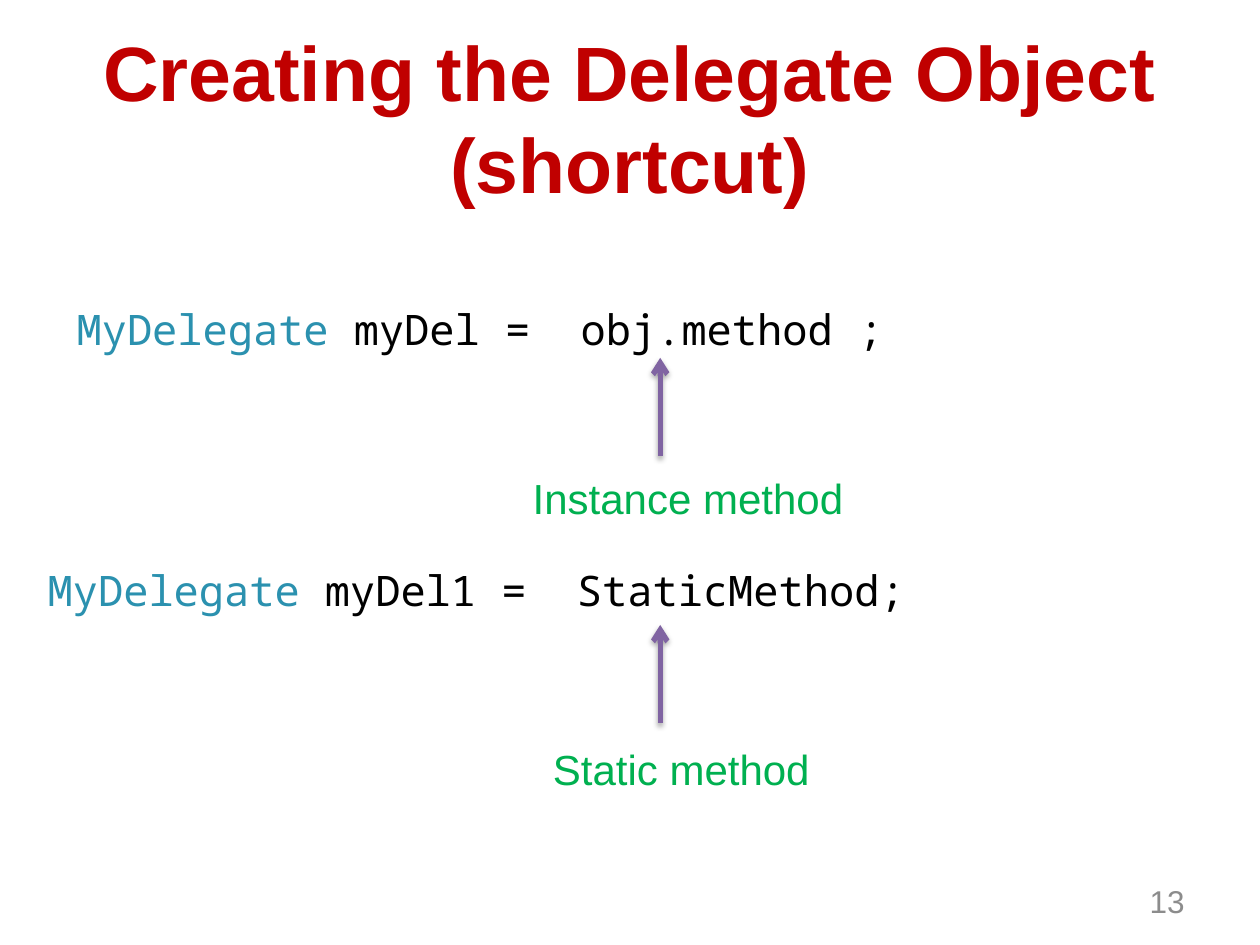
"""Build the slide on the shortcut for creating a delegate object."""
import pptx
import pptx.util
import pptx.dml.color
import pptx.enum.shapes
import pptx.enum.text
import pptx.oxml
import pptx.oxml.ns

Inches = pptx.util.Inches
RGBColor = pptx.dml.color.RGBColor
ALIGN = pptx.enum.text.PP_ALIGN
ANCHOR = pptx.enum.text.MSO_ANCHOR

RED = RGBColor(0xC0, 0x00, 0x00)
TEAL = RGBColor(0x2B, 0x91, 0xAF)
BLACK = RGBColor(0x00, 0x00, 0x00)
GREEN = RGBColor(0x00, 0xB0, 0x50)
PURPLE = RGBColor(0x80, 0x64, 0xA2)
GRAY = RGBColor(0x8C, 0x8C, 0x8C)

TITLE = "Creating the Delegate Object (shortcut)"
PAGE_NUMBER = "13"
EXAMPLES = [
    {"type": "MyDelegate", "rest": " myDel =  obj.method ;", "code_box": (0.51, 2.36, 9.13, 0.5),
     "label": "Instance method", "label_box": (4.13, 3.7, 2.76, 0.5), "arrow_top": 2.84},
    {"type": "MyDelegate", "rest": " myDel1 =  StaticMethod;", "code_box": (0.28, 4.43, 9.45, 0.5),
     "label": "Static method", "label_box": (4.29, 5.85, 2.76, 0.5), "arrow_top": 4.96},
]
ARROW_X = 5.24
ARROW_LENGTH = 0.78
SHADOW_XML = (
    f'<a:effectLst {pptx.oxml.ns.nsdecls("a")}>'
    '<a:outerShdw blurRad="39400" dist="22900" dir="5400000" rotWithShape="0">'
    '<a:srgbClr val="000000"><a:alpha val="35000"/></a:srgbClr>'
    '</a:outerShdw></a:effectLst>'
)
ARROWHEAD_XML = f'<a:tailEnd {pptx.oxml.ns.nsdecls("a")} type="arrow"/>'


def add_text(shapes, box, runs, size, font="Arial", bold=False, align=ALIGN.LEFT, anchor=ANCHOR.TOP):
    text_frame = shapes.add_textbox(*map(Inches, box)).text_frame
    text_frame.word_wrap = True
    text_frame.vertical_anchor = anchor
    paragraph = text_frame.paragraphs[0]
    paragraph.alignment = align
    for text, color in runs:
        run = paragraph.add_run()
        run.text = text
        run.font.name = font
        run.font.size = pptx.util.Pt(size)
        run.font.bold = bold
        run.font.color.rgb = color


def add_up_arrow(shapes, x, top, length):
    arrow = shapes.add_connector(
        pptx.enum.shapes.MSO_CONNECTOR.STRAIGHT,
        Inches(x), Inches(top + length), Inches(x), Inches(top))
    arrow.line.color.rgb = PURPLE
    arrow.line.width = pptx.util.Pt(3)
    arrow.line._get_or_add_ln().append(pptx.oxml.parse_xml(ARROWHEAD_XML))
    arrow._element.spPr.append(pptx.oxml.parse_xml(SHADOW_XML))


def main():
    presentation = pptx.Presentation()
    presentation.slide_width = Inches(10)
    presentation.slide_height = Inches(7.5)
    slide = presentation.slides.add_slide(presentation.slide_layouts[6])

    add_text(slide.shapes, (0.5, 0.3, 9, 1.25), [(TITLE, RED)], 44,
             bold=True, align=ALIGN.CENTER, anchor=ANCHOR.MIDDLE)
    for example in EXAMPLES:
        add_text(slide.shapes, example["code_box"],
                 [(example["type"], TEAL), (example["rest"], BLACK)], 24, font="Noto Sans Mono")
        callout = slide.shapes.add_group_shape()
        add_text(callout.shapes, example["label_box"], [(example["label"], GREEN)], 24)
        add_up_arrow(callout.shapes, ARROW_X, example["arrow_top"], ARROW_LENGTH)
    add_text(slide.shapes, (7.17, 6.95, 2.33, 0.4), [(PAGE_NUMBER, GRAY)], 18,
             align=ALIGN.RIGHT, anchor=ANCHOR.MIDDLE)

    presentation.save("out.pptx")


if __name__ == "__main__":
    main()
